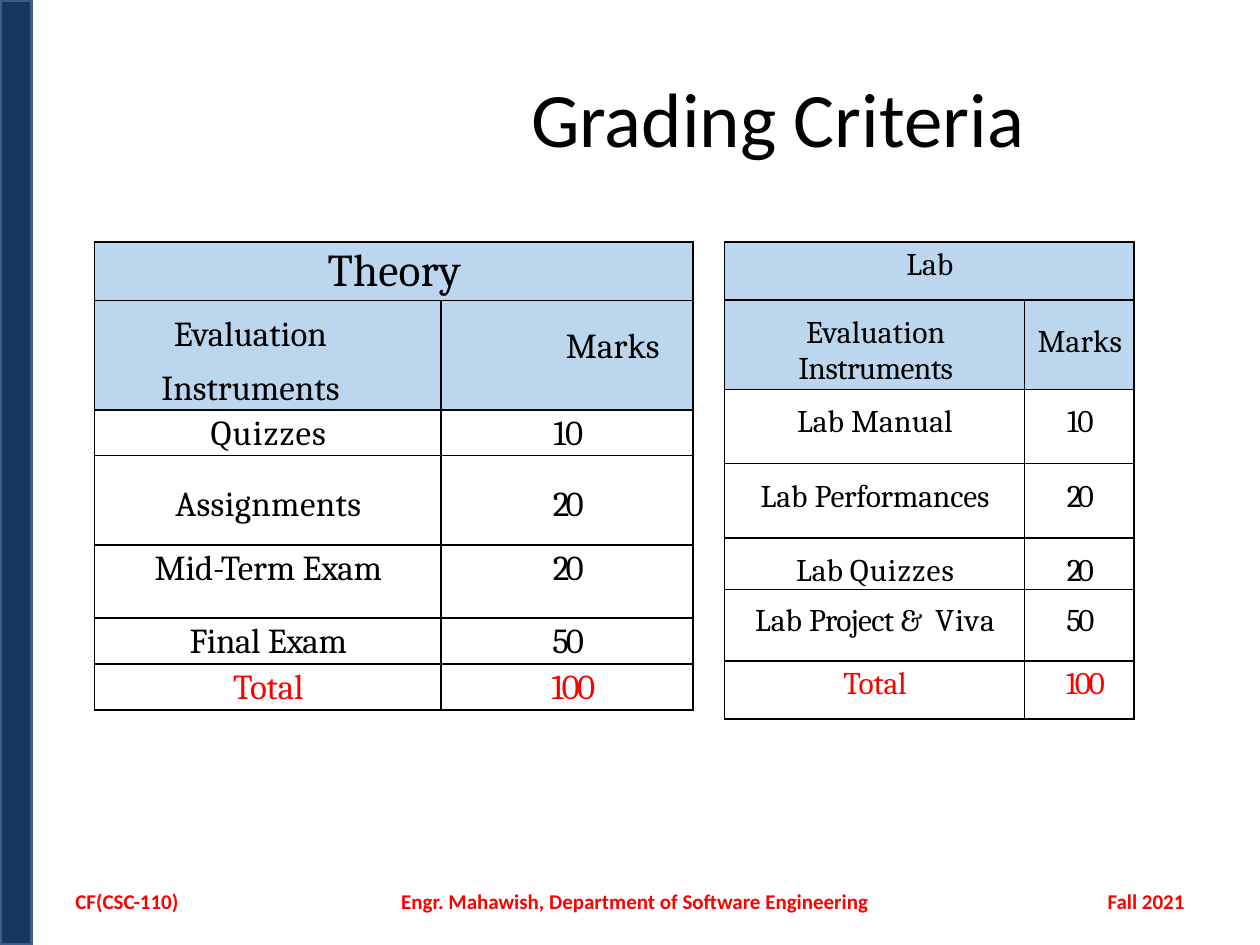
from lxml import etree
from pptx import Presentation
from pptx import util as u
from pptx.dml.color import RGBColor
from pptx.enum import shapes, text
from pptx.oxml import ns

COLORS = {"bar": "17375E", "edge": "3A5F8C", "header": "BCD6ED", "ink": "000000", "red": "FF0000"}
LEFT, CENTER, RIGHT = text.PP_ALIGN.LEFT, text.PP_ALIGN.CENTER, text.PP_ALIGN.RIGHT


def write(frame, paragraphs, size=12, font="Calibri", color="ink", bold=False,
          align=CENTER, indent=0, first=0, line=None):
    for number, runs in enumerate(paragraphs):
        para = frame.add_paragraph() if number else frame.paragraphs[0]
        para.alignment = align
        properties = para._p.get_or_add_pPr()
        properties.set("marL", str(u.Inches(indent)))
        properties.set("indent", str(u.Inches(first)))
        if line and number == 0:
            para.line_spacing = u.Pt(line)
        for words, spacing in runs:
            span = para.add_run()
            span.text = words
            span.font.size = u.Pt(size)
            span.font.name = font
            span.font.bold = bold
            span.font.color.rgb = RGBColor.from_string(COLORS[color])
            if spacing:
                span._r.get_or_add_rPr().set("spc", str(round(spacing * 100)))


deck = Presentation()
deck.slide_width, deck.slide_height = u.Inches(10), u.Inches(7.5)
page = deck.slides.add_slide(deck.slide_layouts[5])

bar = page.shapes.add_shape(shapes.MSO_SHAPE.RECTANGLE, 0, 0, u.Inches(0.25), u.Inches(7.5))
bar.shadow.inherit = False
bar.fill.solid()
bar.fill.fore_color.rgb = RGBColor.from_string(COLORS["bar"])
bar.line.color.rgb = RGBColor.from_string(COLORS["edge"])
bar.line.width = u.Pt(2)

title = page.shapes.title
title.left, title.top = u.Inches(3), u.Inches(0.3)
title.width, title.height = u.Inches(6.5), u.Inches(1.25)
title.text_frame.vertical_anchor = text.MSO_ANCHOR.MIDDLE
title.text_frame.margin_right = u.Inches(0.25)
write(title.text_frame, [[("Grading Criteria", 0)]], size=44)

footers = [
    (0.5, 2.33, LEFT, 0.1, "CF(CSC-110)"),
    (3, 4.25, CENTER, 0.27, "Engr. Mahawish, Department of Software Engineering"),
    (7.17, 2.33, RIGHT, 0.1, "Fall 2021"),
]
for left, width, align, margin, words in footers:
    box = page.shapes.add_textbox(u.Inches(left), u.Inches(6.95), u.Inches(width), u.Inches(0.4))
    box.text_frame.word_wrap = True
    box.text_frame.vertical_anchor = text.MSO_ANCHOR.MIDDLE
    box.text_frame.margin_right = u.Inches(margin)
    write(box.text_frame, [[(words, 0)]], color="red", bold=True, align=align)

ten, twenty, fifty = [[("10", -0.5)]], [[("20", -2.2)]], [[("50", -1.8)]]
total, hundred = [[("Total", -0.1)]], [[("100", -1.4)]]
marks = [[("Marks", 0.1)]]
tables = [
    {
        "left": 0.75, "columns": [2.75, 2], "size": 20,
        "heading": [[("Theory", 0.1)]], "heading_size": 26,
        "label_format": {"align": LEFT, "indent": 0.53, "first": 0.1, "line": 31.2},
        "marks_format": {"align": LEFT, "indent": 0.99},
        "rows": [
            (0.3, 0.03, None, None),
            (0.87, 0.21, [[("Evaluation Instruments", 0)]], marks),
            (0.3, 0.03, [[("Quizzes", 0.6)]], ten),
            (0.71, 0.23, [[("Assignments", 0.2)]], twenty),
            (0.58, 0.03, [[("Mid-Term ", -0.1), ("Exam", -0.2)]], twenty),
            (0.3, 0.03, [[("Final ", -0.3), ("Exam", -0.2)]], fifty),
            (0.3, 0.03, total, hundred),
        ],
    },
    {
        "left": 5.75, "columns": [2.38, 0.87], "size": 18,
        "heading": [[("Lab", 0)]], "heading_size": 18,
        "label_format": {"indent": 0.02, "line": 29.4},
        "marks_format": {"indent": 0.01},
        "rows": [
            (0.46, 0.04, None, None),
            (0.71, 0.19, [[("Evaluation", 0.1)], [("Instruments", -0.3)]], marks),
            (0.59, 0.12, [[("Lab ", 0), ("Manual", 0.1)]], ten),
            (0.59, 0.12, [[("Lab ", 0), ("Performances", -0.1)]], twenty),
            (0.36, 0, [[("Lab ", 0), ("Quizzes", 0.6)]], twenty),
            (0.57, 0.11, [[("Lab ", 0), ("Project ", -0.4), ("& ", 1.8), ("Viva", 0.7)]], fifty),
            (0.46, 0.04, total, hundred),
        ],
    },
]

for plan in tables:
    rows = plan["rows"]
    frame = page.shapes.add_table(len(rows), 2, u.Inches(plan["left"]), u.Inches(1.92),
                                  u.Inches(sum(plan["columns"])), u.Inches(sum(row[0] for row in rows)))
    table = frame.table
    table.first_row = table.horz_banding = False
    for column, width in zip(table.columns, plan["columns"]):
        column.width = u.Inches(width)
    table.cell(0, 0).merge(table.cell(0, 1))

    for r, (height, inset, label, value) in enumerate(rows):
        table.rows[r].height = u.Inches(height)
        for c, content in enumerate((label, value)):
            cell = table.cell(r, c)
            cell.margin_left = cell.margin_right = cell.margin_bottom = 0
            cell.margin_top = 0 if (r, c) == (1, 0) else u.Inches(inset)
            for side in ("lnL", "lnR", "lnT", "lnB"):
                border = etree.SubElement(cell._tc.get_or_add_tcPr(), ns.qn(f"a:{side}"), w=str(u.Pt(1)))
                paint = etree.SubElement(border, ns.qn("a:solidFill"))
                etree.SubElement(paint, ns.qn("a:srgbClr"), val=COLORS["ink"])
            if r < 2:
                cell.fill.solid()
                cell.fill.fore_color.rgb = RGBColor.from_string(COLORS["header"])
            else:
                cell.fill.background()

            style = {"size": plan["size"], "font": "Cambria", "indent": 0.02 if c else 0.01}
            if r == 0:
                content = [] if c else plan["heading"]
                style["size"] = plan["heading_size"]
            elif r == 1:
                style.update(plan["marks_format"] if c else plan["label_format"])
            elif inset == 0:
                style["line"] = 29.4
            elif r == len(rows) - 1:
                style.update(color="red", indent=0.1 if c else 0.01)
            write(cell.text_frame, content, **style)

deck.save("out.pptx")
